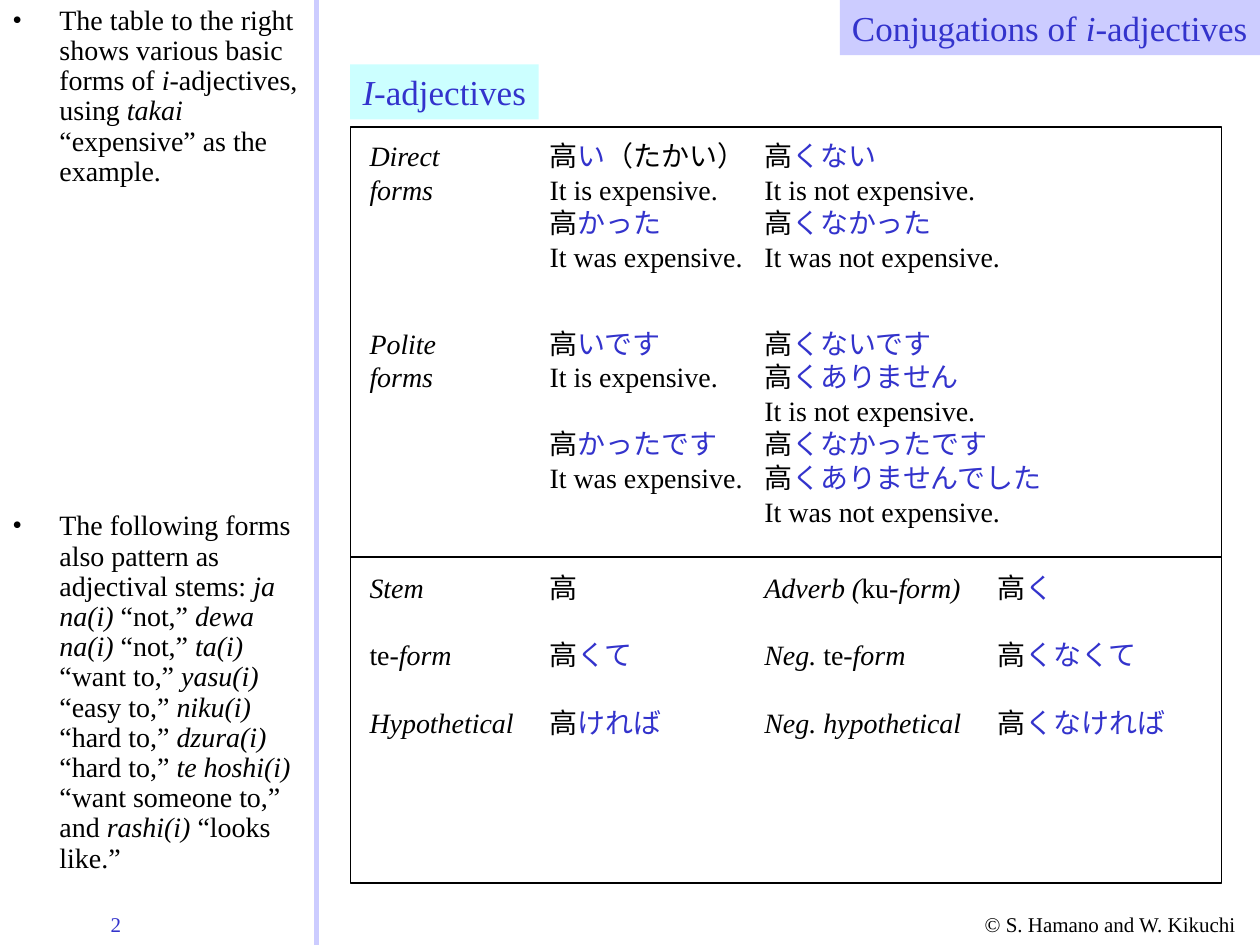
import pptx
import pptx.util
import pptx.dml.color
import pptx.enum.shapes
import pptx.enum.text
from dataclasses import dataclass
from pptx.util import Cm, Pt
from lxml import etree

ALIGN = pptx.enum.text.PP_ALIGN
ANCHOR = pptx.enum.text.MSO_ANCHOR
FIT = pptx.enum.text.MSO_AUTO_SIZE
SHAPE = pptx.enum.shapes.MSO_SHAPE


@dataclass(frozen=True)
class Theme:
    font: str = "Times New Roman"
    ink: str = "000000"
    blue: str = "3333CC"
    lilac: str = "CCCCFF"
    aqua: str = "CCFFFF"
    head: int = 20
    body: int = 16
    foot: int = 12


THEME = Theme()

# Grid of the forms table, in cm
COLS = (7.2, 10.83, 15.16, 19.86)
DIRECT, POLITE, STEM = 2.67, 6.45, 11.37
STEP = 1.36

# *...* is italic, ~...~ is a blue ending
LABELS = [
    (0, DIRECT, 1.93, ["*Direct*", "*forms*"]),
    (0, POLITE, 1.86, ["*Polite*", "*forms*"]),
]
FORMS = [
    (1, DIRECT, 4.45, ["高~い~（たかい）", "It is expensive.",
                       "高~かった~", "It was expensive."]),
    (2, DIRECT, 5.26, ["高~くない~", "It is not expensive.",
                       "高~くなかった~", "It was not expensive."]),
    (2, POLITE, 6.12, ["高~くないです~", "高~くありません~", "It is not expensive.",
                       "高~くなかったです~", "高~くありませんでした~",
                       "It was not expensive."]),
]
POLITE_YES = ["高~いです~", "It is expensive.", "高~かったです~", "It was expensive."]
STEMS = [
    [("*Stem*", 1.6), ("高", 1.07), ("*Adverb (*ku*-form)*", 4.47), ("高~く~", 1.63)],
    [("te*-form*", 2.16), ("高~くて~", 2.18), ("*Neg. *te*-form*", 3.35),
     ("高~くなくて~", 3.33)],
    [("*Hypothetical*", 3.4), ("高~ければ~", 2.74), ("*Neg. hypothetical*", 4.47),
     ("高~くなければ~", 3.89)],
]
NOTES = [
    "The table to the right shows various basic forms of *i*-adjectives, "
    "using *takai* “expensive” as the example.",
    "The following forms also pattern as adjectival stems: *ja na(i)* “not,” "
    "*dewa na(i)* “not,” *ta(i)* “want to,” *yasu(i)* “easy to,” "
    "*niku(i)* “hard to,” *dzura(i)* “hard to,” *te hoshi(i)* "
    "“want someone to,” and *rashi(i)* “looks like.”",
]


def tint(hue):
    return pptx.dml.color.RGBColor.from_string(hue)


def place(shape, left, top, width, height):
    shape.left, shape.top = Cm(left), Cm(top)
    shape.width, shape.height = Cm(width), Cm(height)


def bullet(para):
    props = para._p.get_or_add_pPr()
    props.set("marL", str(Cm(0.95)))
    props.set("indent", str(-Cm(0.95)))
    face = etree.SubElement(props, pptx.oxml.ns.qn("a:buFont"))
    face.set("typeface", THEME.font)
    mark = etree.SubElement(props, pptx.oxml.ns.qn("a:buChar"))
    mark.set("char", "•")
    para.line_spacing = 0.9


def write(shape, lines, size=THEME.body, color=THEME.ink, align=ALIGN.LEFT,
          wrap=False, dot=False, gaps=None):
    """Fill a shape with marked-up lines; gaps maps a line to its space before."""
    frame = shape.text_frame
    frame.word_wrap = wrap
    frame.auto_size = FIT.NONE
    frame.vertical_anchor = ANCHOR.TOP
    for num, line in enumerate(lines):
        para = frame.add_paragraph() if num else frame.paragraphs[0]
        if dot:
            bullet(para)
        para.alignment = align
        if gaps and num in gaps:
            para.space_before = Pt(gaps[num])
        for i, part in enumerate(line.split("*")):
            for j, bit in enumerate(part.split("~")):
                if not bit:
                    continue
                run = para.add_run()
                run.text = bit
                run.font.name = THEME.font
                run.font.size = Pt(size)
                run.font.italic = i % 2 == 1
                run.font.color.rgb = tint(THEME.blue if j % 2 else color)


def label(slide, lines, left, top, width, height=None, **style):
    height = height or 0.25 + 0.68 * len(lines)
    box = slide.shapes.add_textbox(Cm(left), Cm(top), Cm(width), Cm(height))
    write(box, lines, **style)


def panel(slide, left, top, width, height, fill=None, edge=None):
    shape = slide.shapes.add_shape(SHAPE.RECTANGLE, Cm(left), Cm(top),
                                   Cm(width), Cm(height))
    shape.shadow.inherit = False
    if fill:
        shape.fill.solid()
        shape.fill.fore_color.rgb = tint(fill)
    else:
        shape.fill.background()
    if edge:
        shape.line.color.rgb = tint(edge)
        shape.line.width = Pt(0.75)
    else:
        shape.line.fill.background()
    return shape


def rule(slide, x, end):
    line = slide.shapes.add_connector(pptx.enum.shapes.MSO_CONNECTOR.STRAIGHT,
                                      Cm(x), Cm(0), Cm(x), Cm(end))
    line.line.color.rgb = tint(THEME.lilac)
    line.line.width = Pt(3)
    etree.SubElement(line._element.spPr, pptx.oxml.ns.qn("a:effectLst"))


def main():
    deck = pptx.Presentation()
    deck.slide_width, deck.slide_height = Cm(25.4), Cm(19.05)
    slide = deck.slides.add_slide(deck.slide_layouts[5])

    # Title, with no left inset so that it keeps to one line
    title = slide.shapes.title
    place(title, 16.93, 0, 8.47, 1.11)
    title.fill.solid()
    title.fill.fore_color.rgb = tint(THEME.lilac)
    title.text_frame.margin_left = Cm(0)
    heading = dict(size=THEME.head, color=THEME.blue)
    write(title, ["Conjugations of *i*-adjectives"], align=ALIGN.RIGHT, **heading)

    # Section heading
    tag = panel(slide, 7.06, 1.3, 3.8, 1.11, fill=THEME.aqua)
    write(tag, ["*I*-adjectives"], **heading)

    # Footer
    label(slide, ["© S. Hamano and W. Kikuchi"], 19.6, 18.26, 5.8, 0.77,
          size=THEME.foot, wrap=True)
    label(slide, ["2"], 1.98, 18.26, 2.26, 0.77, size=THEME.foot, color=THEME.blue)

    # Side notes
    rule(slide, 6.38, 19.05)
    for note, top, height in zip(NOTES, (0, 10.19), (4.45, 7.57)):
        label(slide, [note], 0, top, 6.38, height, wrap=True, dot=True)

    # Frames of the table
    panel(slide, 7.06, 2.56, 17.57, 8.67, edge=THEME.ink)
    panel(slide, 7.06, 11.23, 17.57, 6.57, edge=THEME.ink)

    # Direct and polite forms
    for col, top, width, lines in LABELS + FORMS:
        label(slide, lines, COLS[col], top, width)
    label(slide, POLITE_YES, COLS[1], POLITE, 4.4, 3.66, gaps={2: 19})

    # Stem, te-form and hypothetical
    for row, cells in enumerate(STEMS):
        for left, (text, width) in zip(COLS, cells):
            label(slide, [text], left, STEM + row * STEP, width)

    deck.save("out.pptx")


if __name__ == "__main__":
    main()
